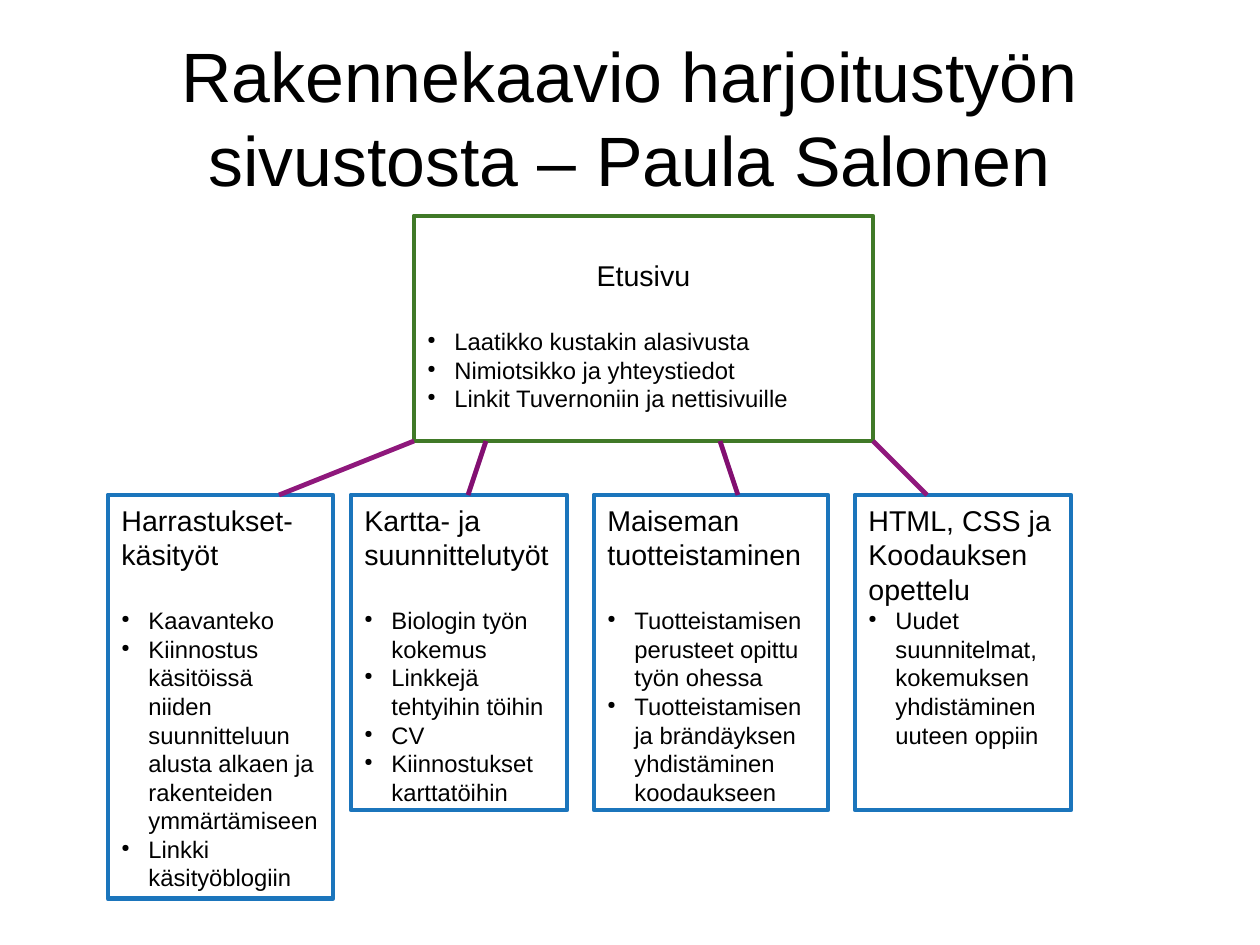
from lxml.etree import SubElement
from pptx import Presentation
from pptx.dml.color import RGBColor
from pptx.enum.shapes import MSO_CONNECTOR as Connector, MSO_SHAPE as Shape
from pptx.enum.text import MSO_ANCHOR as Anchor, PP_ALIGN as Align
from pptx.oxml.ns import qn
from pptx.util import Cm, Pt

COLORS = {
    "text": "000000",
    "front": "407927",
    "subpage": "1B75BC",
    "outer_link": "8F187C",
    "inner_link": "820F71",
}
FONT = "Arial"
TITLE_SIZE, HEADING_SIZE, ITEM_SIZE = 44, 18, 15
LEADING = 1.2
HEADING_LINE = HEADING_SIZE * LEADING
LINE_WIDTH = Pt(3)
INDENT = Cm(0.6)

TITLE = "Rakennekaavio harjoitustyön sivustosta – Paula Salonen"
FRONT_BOX = (9.2, 4.8, 10.2, 5)
FRONT_ITEMS = [
    "Laatikko kustakin alasivusta",
    "Nimiotsikko ja yhteystiedot",
    "Linkit Tuvernoniin ja nettisivuille",
]
SUBPAGE_TOP = 11
# left, width, height, headings, gap before the list, list items
SUBPAGES = [
    (2.4, 5, 8.97, ["Harrastukset-käsityöt"], HEADING_LINE, [
        "Kaavanteko",
        "Kiinnostus käsitöissä niiden suunnitteluun alusta alkaen ja "
        "rakenteiden ymmärtämiseen",
        "Linkki käsityöblogiin",
    ]),
    (7.8, 4.8, 7, ["Kartta- ja suunnittelutyöt"], HEADING_LINE, [
        "Biologin työn kokemus",
        "Linkkejä tehtyihin töihin",
        "CV",
        "Kiinnostukset karttatöihin",
    ]),
    (13.2, 5.2, 7, ["Maiseman tuotteistaminen"], HEADING_LINE, [
        "Tuotteistamisen perusteet opittu työn ohessa",
        "Tuotteistamisen ja brändäyksen yhdistäminen koodaukseen",
    ]),
    (19, 4.8, 7, ["HTML, CSS ja", "Koodauksen opettelu"], 0, [
        "Uudet suunnitelmat, kokemuksen yhdistäminen uuteen oppiin",
    ]),
]
# x at the front page, x at the subpage, colour
LINKS = [
    (9.2, 6.2, "outer_link"),
    (10.8, 10.4, "inner_link"),
    (16, 16.4, "inner_link"),
    (19.4, 20.6, "outer_link"),
]


def color(name):
    return RGBColor.from_string(COLORS[name])


def set_margins(frame, side, top, bottom):
    frame.word_wrap = True
    frame.margin_left = frame.margin_right = side
    frame.margin_top, frame.margin_bottom = top, bottom


def write(para, text, size, align=Align.LEFT):
    para.alignment = align
    para.line_spacing = Pt(size * LEADING)
    span = para.add_run()
    span.text = text
    span.font.size = Pt(size)
    span.font.name = FONT
    span.font.color.rgb = color("text")


def add_bullet(para):
    props = para._p.get_or_add_pPr()
    props.set("marL", str(INDENT))
    props.set("indent", str(-INDENT))
    tint = SubElement(props, qn("a:buClr"))
    SubElement(tint, qn("a:srgbClr"), val=COLORS["text"])
    SubElement(props, qn("a:buSzPct"), val="45000")
    SubElement(props, qn("a:buChar"), char="●")


def add_title(page, left, top, width, height):
    box = page.shapes.add_textbox(Cm(left), Cm(top), Cm(width), Cm(height))
    frame = box.text_frame
    set_margins(frame, 0, 0, 0)
    frame.vertical_anchor = Anchor.MIDDLE
    write(frame.paragraphs[0], TITLE, TITLE_SIZE, Align.CENTER)


def add_page_box(page, bounds, outline, headings, items, gap=HEADING_LINE,
                 top_margin=Cm(0.18), align=Align.LEFT):
    """Draw one web page as a framed box with headings and a bulleted list."""
    box = page.shapes.add_shape(Shape.RECTANGLE, *map(Cm, bounds))
    box.shadow.inherit = False
    box.fill.background()
    box.line.color.rgb = color(outline)
    box.line.width = LINE_WIDTH
    frame = box.text_frame
    set_margins(frame, Cm(0.3), top_margin, Cm(0.18))
    frame.vertical_anchor = Anchor.TOP
    for number, heading in enumerate(headings):
        para = frame.add_paragraph() if number else frame.paragraphs[0]
        write(para, heading, HEADING_SIZE, align)
    for number, item in enumerate(items):
        para = frame.add_paragraph()
        write(para, item, ITEM_SIZE)
        para.space_before = Pt(0 if number else gap)
        add_bullet(para)


def add_link(page, start_x, start_y, end_x, end_y, tint):
    link = page.shapes.add_connector(
        Connector.STRAIGHT, Cm(start_x), Cm(start_y), Cm(end_x), Cm(end_y))
    link.line.color.rgb = color(tint)
    link.line.width = LINE_WIDTH
    SubElement(link._element.spPr, qn("a:effectLst"))


def main():
    deck = Presentation()
    deck.slide_width, deck.slide_height = Cm(28), Cm(21)
    page = deck.slides.add_slide(deck.slide_layouts[6])
    add_title(page, 1.4, 0.84, 25.2, 3.5)
    add_page_box(page, FRONT_BOX, "front", ["Etusivu"], FRONT_ITEMS,
                 top_margin=Cm(0.18) + Pt(HEADING_LINE), align=Align.CENTER)
    for left, width, height, headings, gap, items in SUBPAGES:
        add_page_box(page, (left, SUBPAGE_TOP, width, height), "subpage",
                     headings, items, gap)
    front_bottom = FRONT_BOX[1] + FRONT_BOX[3]
    for front_x, subpage_x, tint in LINKS:
        add_link(page, front_x, front_bottom, subpage_x, SUBPAGE_TOP, tint)
    deck.save("out.pptx")


if __name__ == "__main__":
    main()
